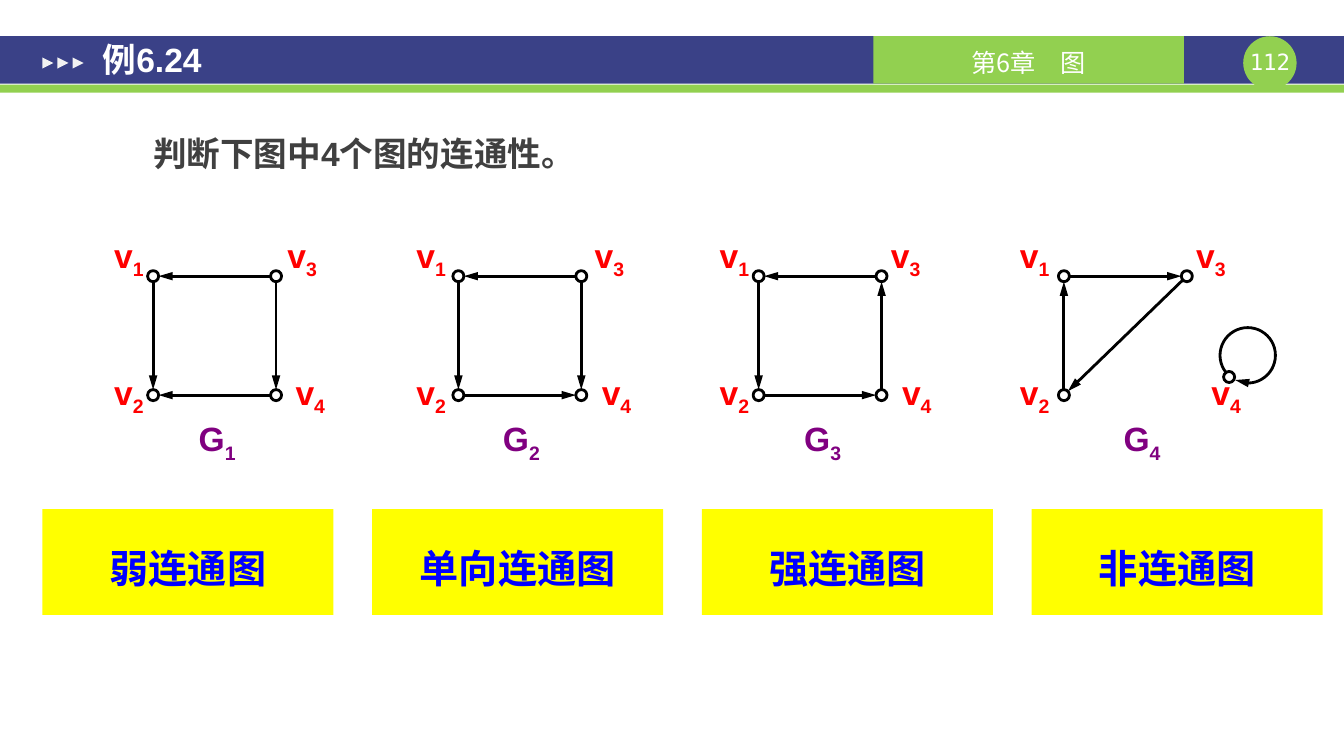
from dataclasses import dataclass
import math

import pptx
import pptx.util
from pptx.dml.color import RGBColor
from pptx.enum.dml import MSO_THEME_COLOR
from pptx.enum.shapes import MSO_CONNECTOR, MSO_SHAPE
from pptx.enum.text import MSO_ANCHOR, PP_ALIGN
from pptx.oxml import parse_xml
from pptx.oxml.ns import nsdecls, qn
from pptx.util import Inches, Pt


@dataclass(frozen=True)
class Theme:
    navy: str = "3A4187"
    green: str = "92D050"
    white: str = "FFFFFF"
    pale: str = "F2F2F2"
    grey: str = "404040"
    black: str = "000000"
    red: str = "FF0000"
    purple: str = "800080"
    yellow: str = "FFFF00"
    blue: str = "0000FF"
    latin: str = "Arial"
    chinese: str = "Noto Sans CJK SC"
    mono: str = "DejaVu Sans Mono"
    page_size: int = 16
    chapter_size: int = 18
    body_size: int = 24
    answer_size: int = 28
    stroke: float = 2


@dataclass(frozen=True)
class Style:
    size: int
    color: str
    font: str = Theme.latin
    bold: bool = True
    align: PP_ALIGN = PP_ALIGN.CENTER


@dataclass(frozen=True)
class Graph:
    left: float                      # centre of the left vertices
    label_lefts: tuple[float, ...]   # labels v1 to v4
    name_left: float
    edges: tuple[tuple[int, int], ...]
    answer: str
    looped: bool = False             # v4 stands apart with a loop


THEME = Theme()
TOP, BOTTOM, SIDE = 2.74, 3.92, 1.22
NODE = 0.11
GRAPHS = (
    Graph(1.52, (1.06, 1.06, 2.78, 2.86), 1.9,
          ((1, 2), (3, 1), (4, 2), (3, 4)), "弱连通图"),
    Graph(4.55, (4.06, 4.06, 5.83, 5.9), 4.92,
          ((1, 2), (3, 1), (2, 4), (3, 4)), "单向连通图"),
    Graph(7.53, (7.07, 7.07, 8.77, 8.88), 7.91,
          ((1, 2), (3, 1), (2, 4), (4, 3)), "强连通图"),
    Graph(10.56, (10.05, 10.05, 11.8, 11.95), 11.08,
          ((2, 1), (1, 3), (3, 2)), "非连通图", looped=True),
)

deck = pptx.Presentation()
deck.slide_width, deck.slide_height = Inches(13.34), Inches(7.5)
slide = deck.slides.add_slide(deck.slide_layouts[6])


def box(left: float, top: float, width: float, height: float) -> tuple:
    return tuple(Inches(v) for v in (left, top, width, height))


def add_block(kind: MSO_SHAPE, place: tuple, fill: str | None, line: str | None = None):
    block = slide.shapes.add_shape(kind, *place)
    block.shadow.inherit = False
    if fill:
        block.fill.solid()
        block.fill.fore_color.rgb = RGBColor.from_string(fill)
    else:
        block.fill.background()
    if line:
        block.line.color.rgb = RGBColor.from_string(line)
        block.line.width = Pt(THEME.stroke)
    else:
        block.line.fill.background()
    return block


def write(shape, text: str, style: Style, insets: tuple = (0, 0, 0, 0),
          anchor: MSO_ANCHOR = MSO_ANCHOR.TOP, subscript: str = ""):
    frame = shape.text_frame
    frame.word_wrap = True
    frame.vertical_anchor = anchor
    (frame.margin_left, frame.margin_top,
     frame.margin_right, frame.margin_bottom) = box(*insets)
    paragraph = frame.paragraphs[0]
    paragraph.alignment = style.align
    for part in filter(None, (text, subscript)):
        run = paragraph.add_run()
        run.text = part
        properties = run._r.get_or_add_rPr()
        properties.append(parse_xml(f'<a:ea {nsdecls("a")} typeface="{style.font}"/>'))
        if part == subscript:
            properties.set("baseline", "-25000")
    font = paragraph.font
    font.name, font.size, font.bold = style.font, Pt(style.size), style.bold
    font.color.rgb = RGBColor.from_string(style.color)
    return paragraph


def add_text(place: tuple, text: str, style: Style, **options):
    return write(slide.shapes.add_textbox(*place), text, style, **options)


def add_arrowhead(shape) -> None:
    shape.line._get_or_add_ln().append(parse_xml(
        f'<a:tailEnd {nsdecls("a")} type="triangle" w="med" len="lg"/>'))


def add_edge(start: tuple[float, float], end: tuple[float, float]) -> None:
    dx, dy = end[0] - start[0], end[1] - start[1]
    trim = NODE / 2 / math.hypot(dx, dy)
    edge = slide.shapes.add_connector(
        MSO_CONNECTOR.STRAIGHT,
        *box(start[0] + dx * trim, start[1] + dy * trim,
             end[0] - dx * trim, end[1] - dy * trim))
    edge.line.color.rgb = RGBColor.from_string(THEME.black)
    edge.line.width = Pt(THEME.stroke)
    edge._element.spPr.append(parse_xml(f'<a:effectLst {nsdecls("a")}/>'))
    add_arrowhead(edge)


def add_graph(number: int, graph: Graph) -> None:
    right = graph.left + SIDE
    vertices = {1: (graph.left, TOP), 2: (graph.left, BOTTOM), 3: (right, TOP),
                4: (12.2, 3.74) if graph.looped else (right, BOTTOM)}
    for start, end in graph.edges:
        add_edge(vertices[start], vertices[end])
    if graph.looped:
        loop = add_block(MSO_SHAPE.ARC, box(12.11, 3.25, 0.55, 0.55), None, THEME.black)
        # Adjustments count 0.6 per degree
        loop.adjustments[0], loop.adjustments[1] = 141 * 0.6, 117 * 0.6
        add_arrowhead(loop)
    for vertex, (x, y) in vertices.items():
        add_block(MSO_SHAPE.OVAL, box(x - NODE / 2, y - NODE / 2, NODE, NODE),
                  None, THEME.black)
        label_top = 2.33 if vertex in (1, 3) else 3.69
        add_text(box(graph.label_lefts[vertex - 1], label_top, 0.44, 0.55), "v",
                 Style(THEME.body_size, THEME.red), subscript=str(vertex))
    add_text(box(graph.name_left, 4.15, 0.51, 0.55), "G",
             Style(THEME.body_size, THEME.purple), subscript=str(number))


def add_answer(index: int, answer: str) -> None:
    panel = add_block(MSO_SHAPE.RECTANGLE, box(0.42 + 3.273 * index, 5.05, 2.89, 1.05),
                      THEME.yellow)
    paragraph = write(panel, answer, Style(THEME.answer_size, THEME.blue),
                      insets=(0.1, 0.26, 0.1, 0.26))
    paragraph.line_spacing, paragraph.space_before = 1.2, Pt(3)


# Header band with page number and chapter
add_block(MSO_SHAPE.RECTANGLE, box(0, 0.36, 13.34, 0.47), THEME.navy)
add_block(MSO_SHAPE.RECTANGLE, box(0, 0.84, 13.34, 0.08), THEME.green)
add_block(MSO_SHAPE.OVAL, box(12.34, 0.36, 0.53, 0.53), THEME.green)
add_text(box(12.34, 0.48, 0.53, 0.27), "112",
         Style(THEME.page_size, THEME.white, THEME.mono, bold=False))
chapter = add_block(MSO_SHAPE.RECTANGLE, box(8.67, 0.36, 3.08, 0.47), THEME.green)
write(chapter, "第6章\u3000图", Style(THEME.chapter_size, THEME.white, THEME.chinese, bold=False),
      insets=(0.1, 0.04, 0.1, 0), anchor=MSO_ANCHOR.MIDDLE)
for step in range(3):
    pointer = add_block(MSO_SHAPE.ISOSCELES_TRIANGLE,
                        box(0.42 + 0.15 * step, 0.57, 0.11, 0.11), THEME.pale)
    pointer.rotation = 90

# Title and question
add_text(box(0.89, 0.17, 10.27, 0.84), "例6.24",
         Style(THEME.body_size, THEME.white, align=PP_ALIGN.LEFT),
         insets=(0.13, 0.07, 0.13, 0.07), anchor=MSO_ANCHOR.MIDDLE)
question = add_text(box(0.89, 1.25, 10.27, 0.89), "判断下图中4个图的连通性。",
                    Style(THEME.body_size, THEME.grey, align=PP_ALIGN.LEFT),
                    insets=(0.63, 0.07, 0.13, 0.07))
question.space_before = Pt(3)

# Graphs and their answers
for index, graph in enumerate(GRAPHS):
    add_graph(index + 1, graph)
    add_answer(index, graph.answer)

deck.save("out.pptx")
